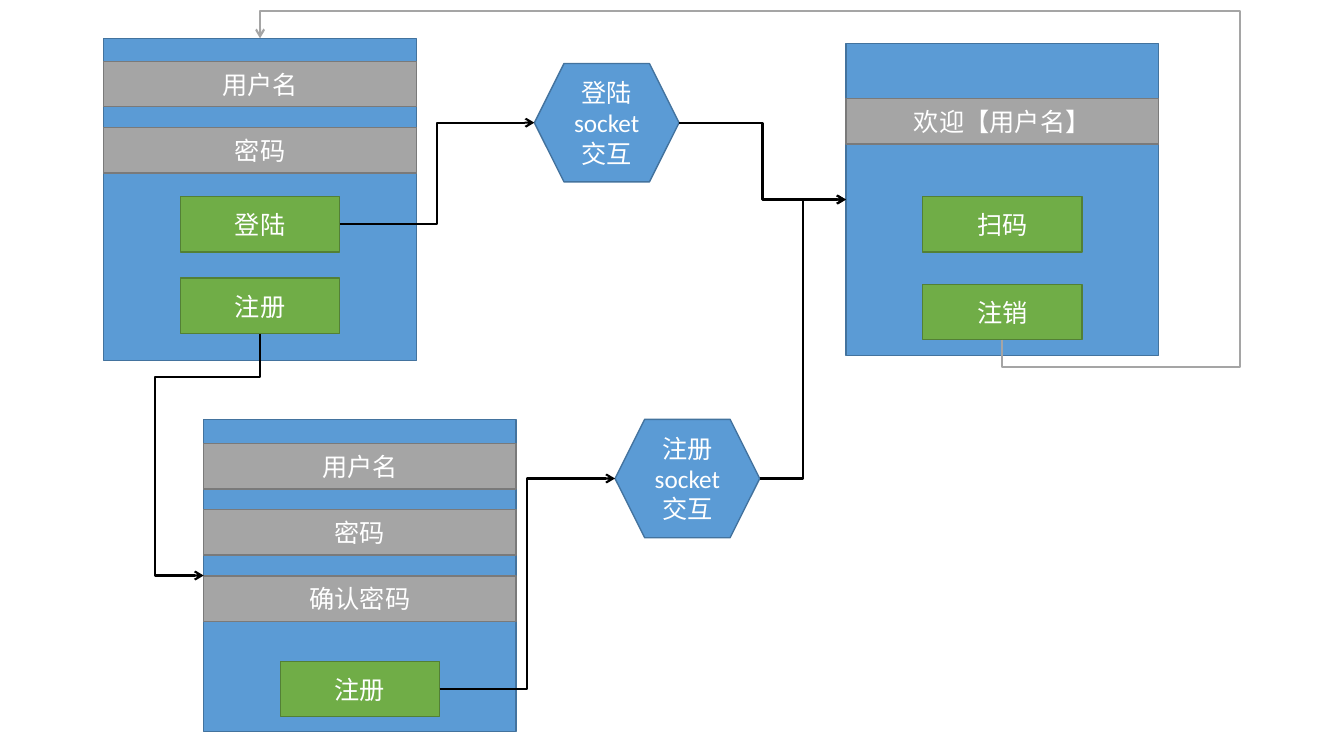
from dataclasses import dataclass

from lxml import etree
from pptx import Presentation
from pptx import util as u
from pptx.dml.color import RGBColor
from pptx.enum import shapes as sh, text as tx
from pptx.oxml.ns import qn


@dataclass(frozen=True)
class Theme:
    """Colours as fill and edge pairs, with type and line sizes."""
    blue: tuple = ("5B9BD5", "43739E")
    grey: tuple = ("A5A5A5", "7A7A7A")
    green: tuple = ("70AD47", "538035")
    white: str = "FFFFFF"
    black: str = "000000"
    font: str = "Calibri"
    size: int = 18
    edge: float = 1
    wire: float = 1.5


T = Theme()
CELL = 0.1
PANEL_W, BAR_H, BAR_STEP = 31, 4.5, 6.57
BTN_W, BTN_H = 15.8, 5.5
HEX_W, HEX_H = 14.35, 11.75
RECT, HEXA = sh.MSO_SHAPE.RECTANGLE, sh.MSO_SHAPE.HEXAGON
SITES = {
    RECT: {"top": 0, "left": 1, "bottom": 2, "right": 3},
    HEXA: {"right": 0, "left": 3},
}


def grid(n):
    """Turn a count of grid cells into a length."""
    return u.Inches(n * CELL)


def block(host, kind, box, tint, label=""):
    """Add a filled shape with an optional centred label."""
    item = host.add_shape(kind, *map(grid, box))
    item.shadow.inherit = False
    item.fill.solid()
    item.fill.fore_color.rgb = RGBColor.from_string(tint[0])
    item.line.color.rgb = RGBColor.from_string(tint[1])
    item.line.width = u.Pt(T.edge)
    if label:
        frame = item.text_frame
        frame.word_wrap = True
        frame.vertical_anchor = tx.MSO_ANCHOR.MIDDLE
        para = frame.paragraphs[0]
        para.alignment = tx.PP_ALIGN.CENTER
        run = para.add_run()
        run.text = label
        run.font.name = T.font
        run.font.size = u.Pt(T.size)
        run.font.color.rgb = RGBColor.from_string(T.white)
    return item


def panel(slide, x, y, h, first, bars, btns):
    """Group a screen with evenly stepped bars and buttons; return both kinds."""
    host = slide.shapes.add_group_shape().shapes
    back = block(host, RECT, (x, y, PANEL_W, h), T.blue)
    for i, label in enumerate(bars):
        top = y + first + i * BAR_STEP
        block(host, RECT, (x, top, PANEL_W, BAR_H), T.grey, label)
    left = x + (PANEL_W - BTN_W) / 2
    keys = [block(host, RECT, (left, y + row, BTN_W, BTN_H), T.green, label)
            for label, row in btns]
    return back, keys


def hexa(slide, x, y, label):
    """Add a hexagon for a socket exchange."""
    return block(slide.shapes, HEXA, (x, y, HEX_W, HEX_H), T.blue, label)


def spot(item, side):
    """Return the middle of one side of a shape."""
    dx, dy = {"left": (0, 0.5), "right": (1, 0.5),
              "top": (0.5, 0), "bottom": (0.5, 1)}[side]
    return int(item.left + dx * item.width), int(item.top + dy * item.height)


def link(slide, start, end, adj=(0.5,), color=T.black):
    """Join two shape sides with a bent arrow; adj holds its bend shares."""
    (x1, y1), (x2, y2) = spot(*start), spot(*end)
    wire = slide.shapes.add_connector(sh.MSO_CONNECTOR.ELBOW, x1, y1, x2, y2)
    for join, (item, side) in ((wire.begin_connect, start), (wire.end_connect, end)):
        join(item, SITES[item.auto_shape_type][side])
    turn = start[1] == "bottom"
    wide, high = abs(x2 - x1), abs(y2 - y1)
    if turn:
        wide, high = high, wide
    wire.left, wire.top = (x1 + x2 - wide) // 2, (y1 + y2 - high) // 2
    wire.width, wire.height = wide, high
    rise = str(int(y2 < y1))
    prop = wire._element.spPr
    form = prop.find(qn("a:xfrm"))
    form.set("rot", "5400000" if turn else "0")
    form.set("flipH", rise if turn else "0")
    form.set("flipV", "0" if turn else rise)
    geom = prop.find(qn("a:prstGeom"))
    geom.set("prst", f"bentConnector{len(adj) + 2}")
    marks = geom.find(qn("a:avLst"))
    for i, share in enumerate(adj, 1):
        etree.SubElement(marks, qn("a:gd"), name=f"adj{i}",
                         fmla=f"val {round(share * 100000)}")
    wire.line.color.rgb = RGBColor.from_string(color)
    wire.line.width = u.Pt(T.wire)
    etree.SubElement(prop.find(qn("a:ln")), qn("a:tailEnd"), type="arrow")
    etree.SubElement(prop, qn("a:effectLst"))


def main():
    """Build the login flow slide and save it."""
    deck = Presentation()
    deck.slide_width, deck.slide_height = u.Inches(13.33), u.Inches(7.5)
    slide = deck.slides.add_slide(deck.slide_layouts[6])

    login, (enter, join) = panel(
        slide, 10.3, 3.8, 32, 2.3, ["用户名", "密码"],
        [("登陆", 15.7), ("注册", 23.8)])
    signup, (send,) = panel(
        slide, 20.2, 41.6, 31, 2.4, ["用户名", "密码", "确认密码"],
        [("注册", 24)])
    home, (scan, leave) = panel(
        slide, 83.9, 4.3, 31, 5.5, ["欢迎【用户名】"],
        [("扫码", 15.2), ("注销", 23.9)])
    check = hexa(slide, 53, 6.3, "登陆socket交互")
    enrol = hexa(slide, 61, 41.6, "注册socket交互")

    link(slide, (join, "bottom"), (signup, "left"), (0.18, 1.87))
    link(slide, (enter, "right"), (check, "left"))
    link(slide, (check, "right"), (home, "left"))
    link(slide, (enrol, "right"), (home, "left"))
    link(slide, (send, "right"), (enrol, "left"))
    link(slide, (leave, "bottom"), (login, "top"), (-0.09, -0.32, 1.09), T.grey[0])
    deck.save("out.pptx")


if __name__ == "__main__":
    main()
